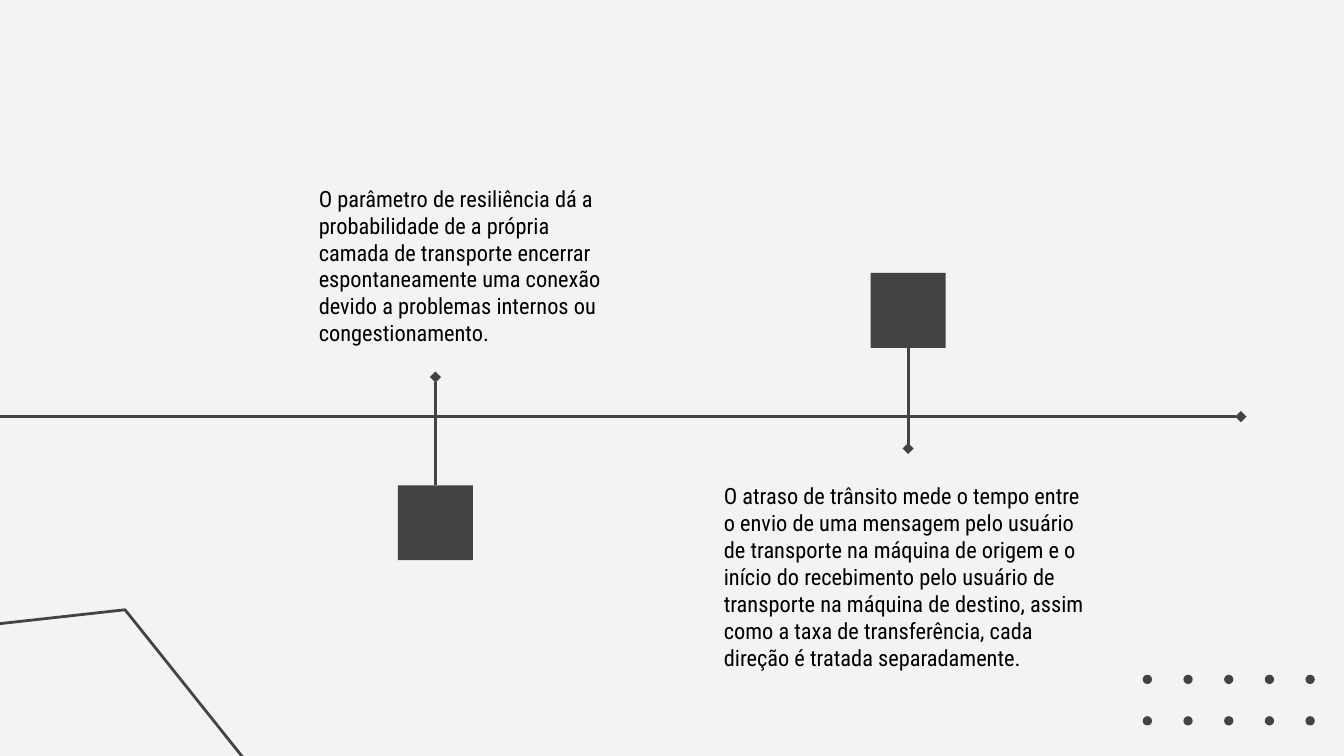
from dataclasses import dataclass
from itertools import product

from lxml import etree
from pptx import Presentation
from pptx.dml.color import RGBColor
from pptx.enum import shapes, text
from pptx.oxml.ns import qn
from pptx.util import Pt

DARK, BLACK, PAPER = "434343", "000000", "F3F3F3"
FONT = "Roboto Condensed"
LINE_WIDTH = 1.5


@dataclass
class Line:
    start: tuple[float, float]
    end: tuple[float, float]
    diamond: str  # "headEnd" or "tailEnd"


@dataclass
class Block:
    kind: shapes.MSO_SHAPE
    left: float
    top: float
    size: float


def colour(value: str) -> RGBColor:
    return RGBColor.from_string(value)


def draw_block(page, block: Block) -> None:
    shape = page.shapes.add_shape(
        block.kind, Pt(block.left), Pt(block.top), Pt(block.size), Pt(block.size))
    shape.shadow.inherit = False
    shape.fill.solid()
    shape.fill.fore_color.rgb = colour(DARK)
    shape.line.fill.background()


def style_line(line) -> None:
    line.color.rgb = colour(DARK)
    line.width = Pt(LINE_WIDTH)


def draw_line(page, line: Line) -> None:
    connector = page.shapes.add_connector(
        shapes.MSO_CONNECTOR.STRAIGHT, *map(Pt, line.start + line.end))
    style_line(connector.line)
    properties = connector._element.spPr
    etree.SubElement(properties.find(qn("a:ln")), qn(f"a:{line.diamond}"), type="diamond")
    etree.SubElement(properties, qn("a:effectLst"))


def draw_text(page, words: str, *, left: float, top: float, width: float, height: float,
              margin_top: float = 7.2, margin_bottom: float = 7.2, indent: float = 0,
              anchor=text.MSO_ANCHOR.TOP, size: float = 12) -> None:
    box = page.shapes.add_textbox(Pt(left), Pt(top), Pt(width), Pt(height))
    frame = box.text_frame
    frame.word_wrap = True
    frame.vertical_anchor = anchor
    frame.margin_left = Pt(7.2 + indent)
    frame.margin_right = Pt(7.2)
    frame.margin_top, frame.margin_bottom = Pt(margin_top), Pt(margin_bottom)
    para = frame.paragraphs[0]
    para.alignment = text.PP_ALIGN.LEFT
    span = para.add_run()
    span.text = words
    span.font.name = FONT
    span.font.size = Pt(size)
    span.font.color.rgb = colour(BLACK)


deck = Presentation()
deck.slide_width, deck.slide_height = Pt(720), Pt(405)
page = deck.slides.add_slide(deck.slide_layouts[6])
page.background.fill.solid()
page.background.fill.fore_color.rgb = colour(PAPER)

# Dot grid in the lower right corner
for row, column in product(range(2), range(5)):
    draw_block(page, Block(shapes.MSO_SHAPE.OVAL, 612.2 + 21.8 * column, 361.5 + 22.2 * row, 5))

# Corner outline
builder = page.shapes.build_freeform(Pt(-12.2), Pt(335.5))
builder.add_line_segments([(Pt(67), Pt(326.7)), (Pt(130.3), Pt(406))], close=False)
corner = builder.convert_to_shape()
corner.shadow.inherit = False
corner.fill.background()
style_line(corner.line)

# Time line with its two markers
SQUARE = 40.2
for left, top in ((466.4, 146.2), (213.2, 260)):
    draw_block(page, Block(shapes.MSO_SHAPE.RECTANGLE, left, top, SQUARE))
for line in (
    Line((664.8, 223.2), (0, 223.2), "headEnd"),
    Line((486.5, 186.4), (486.5, 240.3), "tailEnd"),
    Line((233.3, 260), (233.3, 202), "tailEnd"),
):
    draw_line(page, line)

# Descriptions
draw_text(
    page,
    "O atraso de trânsito mede o tempo entre o envio de uma mensagem pelo usuário de "
    "transporte na máquina de origem e o início do recebimento pelo usuário de transporte "
    "na máquina de destino, assim como a taxa de transferência, cada direção é tratada "
    "separadamente.",
    left=380.7, top=240.5, width=211.7, height=118.8, margin_top=18)
draw_text(
    page,
    "O parâmetro de resiliência dá a probabilidade de a própria camada de transporte "
    "encerrar espontaneamente uma conexão devido a problemas internos ou congestionamento.",
    left=127.6, top=77.8, width=211.7, height=124.5, margin_bottom=16.8, indent=36,
    anchor=text.MSO_ANCHOR.BOTTOM)

deck.save("out.pptx")
